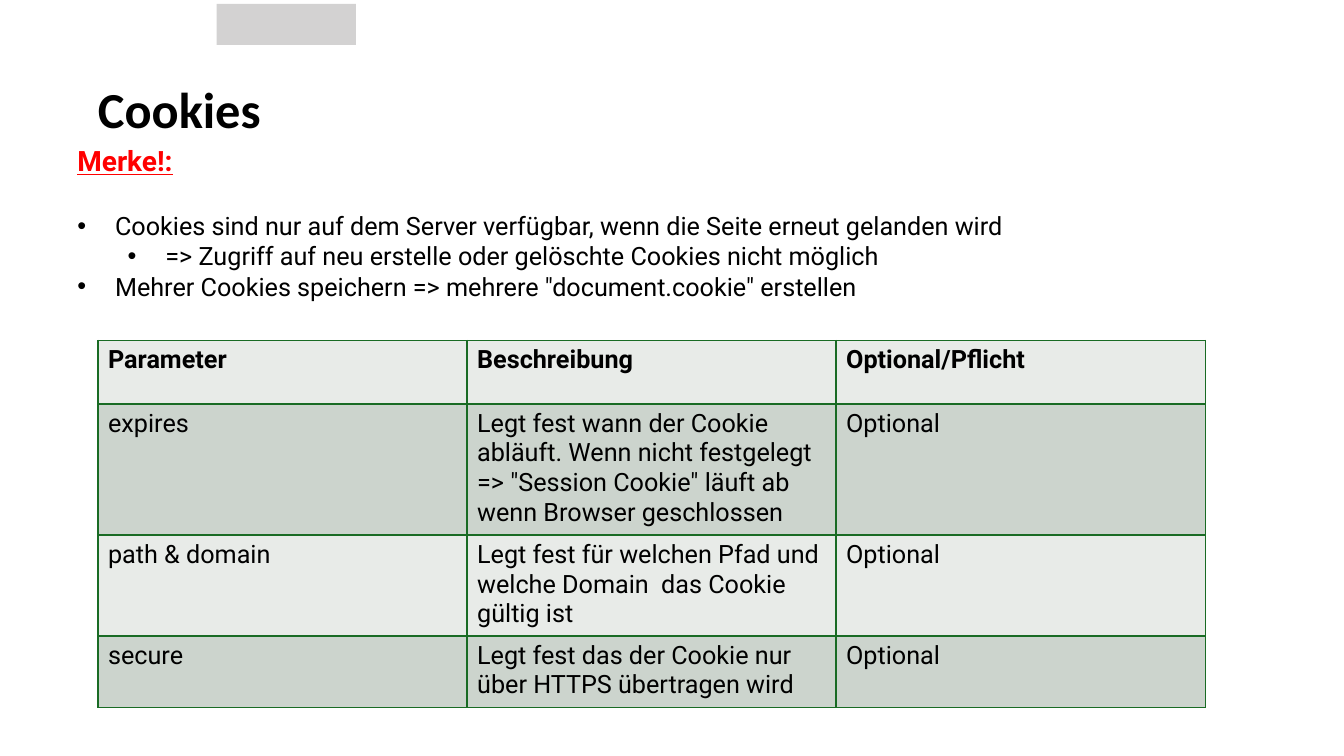
from lxml import etree
from pptx import Presentation
from pptx.dml.color import RGBColor
from pptx.enum import shapes, text
from pptx.oxml import ns
from pptx.util import Cm, Pt

COLORS = {"black": "000000", "red": "FF0000", "tab": "D3D2D2",
          "border": "196B24", "light": "E8EBE8", "dark": "CCD4CD"}
TITLE = "Cookies"
NOTE = "Merke!:"
BULLETS = [
    (0, "Cookies sind nur auf dem Server verfügbar, wenn die Seite erneut gelanden wird"),
    (1, "=> Zugriff auf neu erstelle oder gelöschte Cookies nicht möglich"),
    (0, 'Mehrer Cookies speichern => mehrere "document.cookie" erstellen'),
]
ROWS = [
    ("Parameter", "Beschreibung", "Optional/Pflicht"),
    ("expires", 'Legt fest wann der Cookie abläuft. Wenn nicht festgelegt => "Session Cookie" läuft ab '
     "wenn Browser geschlossen", "Optional"),
    ("path & domain", "Legt fest für welchen Pfad und welche Domain  das Cookie gültig ist", "Optional"),
    ("secure", "Legt fest das der Cookie nur über HTTPS übertragen wird", "Optional"),
]
ROW_HEIGHTS = [1.6, 3.3, 2.54, 1.8]
COLUMN_WIDTH = 9.3
BULLET_INDENT = 0.95
LEVEL_STEP = 1.27


def color(name):
    """Return the named colour."""
    return RGBColor.from_string(COLORS[name])


def write(para, words, size=18, font="Roboto", ink="black", bold=False, underline=False, before=0, after=0):
    """Put formatted text into a paragraph."""
    para.space_before, para.space_after = Pt(before), Pt(after)
    span = para.add_run()
    span.text = words
    span.font.name, span.font.size = font, Pt(size)
    span.font.bold, span.font.underline = bold, underline
    span.font.color.rgb = color(ink)


def add_bullet(para, level):
    """Give a paragraph a bullet and a hanging indent."""
    para.level = level
    props = para._p.get_or_add_pPr()
    props.set("marL", str(Cm(BULLET_INDENT + level * LEVEL_STEP)))
    props.set("indent", str(-Cm(BULLET_INDENT)))
    etree.SubElement(props, ns.qn("a:buFont")).set("typeface", "Arial")
    etree.SubElement(props, ns.qn("a:buChar")).set("char", "•")


def add_borders(cell):
    """Draw a thin line on all four sides of a cell."""
    props = cell._tc.get_or_add_tcPr()
    for side in ("lnL", "lnR", "lnT", "lnB"):
        line = etree.SubElement(props, ns.qn(f"a:{side}"), w=str(Pt(1)))
        fill = etree.SubElement(line, ns.qn("a:solidFill"))
        etree.SubElement(fill, ns.qn("a:srgbClr"), val=COLORS["border"])


def add_box(page, left, top, width, height):
    """Add a wrapping text box and return its frame."""
    frame = page.shapes.add_textbox(Cm(left), Cm(top), Cm(width), Cm(height)).text_frame
    frame.word_wrap = True
    frame.vertical_anchor = text.MSO_ANCHOR.TOP
    return frame


def add_parameters(page):
    """Add the table of cookie parameters."""
    columns = len(ROWS[0])
    table = page.shapes.add_table(len(ROWS), columns, Cm(2.47), Cm(8.58),
                                  Cm(COLUMN_WIDTH * columns), Cm(sum(ROW_HEIGHTS))).table
    for column in table.columns:
        column.width = Cm(COLUMN_WIDTH)
    for r, (height, row) in enumerate(zip(ROW_HEIGHTS, ROWS)):
        table.rows[r].height = Cm(height)
        for c, words in enumerate(row):
            cell = table.cell(r, c)
            add_borders(cell)
            cell.fill.solid()
            cell.fill.fore_color.rgb = color("dark" if r % 2 else "light")
            write(cell.text_frame.paragraphs[0], words, bold=r == 0)


def main():
    """Build the cookies slide."""
    deck = Presentation()
    deck.slide_width, deck.slide_height = Cm(33.87), Cm(19.05)
    page = deck.slides.add_slide(deck.slide_layouts[6])

    tab = page.shapes.add_shape(shapes.MSO_SHAPE.RECTANGLE, Cm(5.46), Cm(0.1), Cm(3.51), Cm(1.03))
    tab.shadow.inherit = False
    tab.fill.solid()
    tab.fill.fore_color.rgb = color("tab")
    tab.line.fill.background()

    title = add_box(page, 2.47, 1.93, 10.46, 1.57)
    title.margin_left = title.margin_right = title.margin_bottom = 0
    title.margin_top = Cm(0.03)
    write(title.paragraphs[0], TITLE, size=36, font="Calibri", bold=True, before=1)

    notes = add_box(page, 1.7, 3.5, 30.48, 6.58)
    write(notes.paragraphs[0], NOTE, size=20, ink="red", bold=True, underline=True, after=23.5)
    for level, words in BULLETS:
        para = notes.add_paragraph()
        write(para, words)
        add_bullet(para, level)

    add_parameters(page)
    deck.save("out.pptx")


if __name__ == "__main__":
    main()
